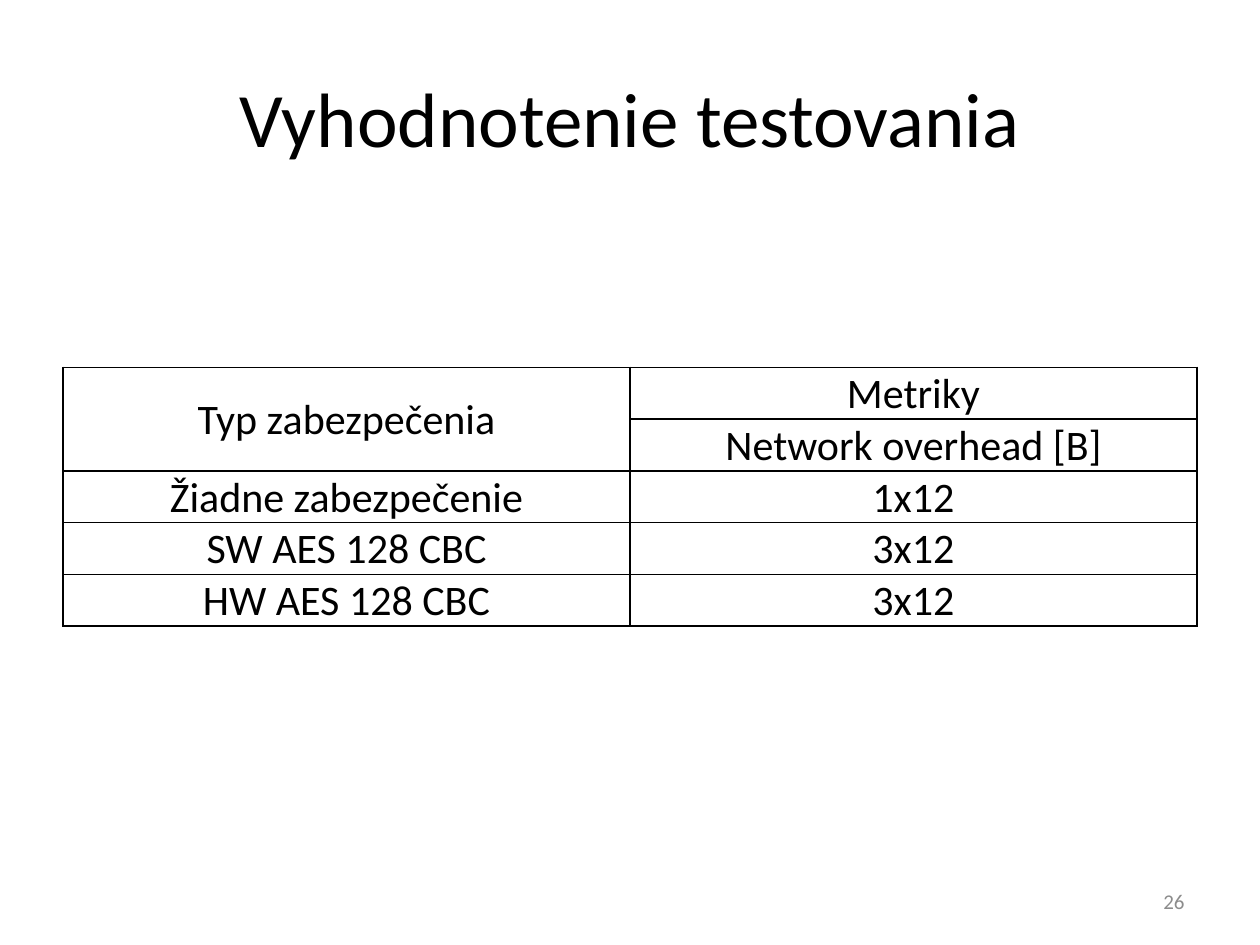
from pptx import Presentation
from pptx.dml.color import RGBColor
from pptx.enum.text import MSO_ANCHOR as Anchor, PP_ALIGN as Align
from pptx.oxml import parse_xml
from pptx.oxml.ns import nsdecls
from pptx.util import Pt

BLACK = RGBColor(0x00, 0x00, 0x00)
GRAY = RGBColor(0x8C, 0x8C, 0x8C)
FONT = "Calibri"

TITLE = "Vyhodnotenie testovania"
NUMBER = "26"
ROWS = [
    ("Typ zabezpečenia", "Metriky"),
    ("", "Network overhead [B]"),
    ("Žiadne zabezpečenie", "1x12"),
    ("SW AES 128 CBC", "3x12"),
    ("HW AES 128 CBC", "3x12"),
]
LEFT, TOP, WIDTH, ROW = 36, 210, 648, 29.5


def style(para, size, color, align):
    para.alignment = align
    font = para.font
    font.name, font.size = FONT, Pt(size)
    font.color.rgb = color


def add_label(slide, text, box, size, color, align):
    frame = slide.shapes.add_textbox(*map(Pt, box)).text_frame
    frame.word_wrap = True
    frame.vertical_anchor = Anchor.MIDDLE
    frame.text = text
    style(frame.paragraphs[0], size, color, align)


def add_border(cell):
    props = cell._tc.get_or_add_tcPr()
    for i, side in enumerate(("lnL", "lnR", "lnT", "lnB")):
        props.insert(i, parse_xml(
            f'<a:{side} {nsdecls("a")} w="{Pt(1)}"><a:solidFill>'
            f'<a:srgbClr val="{BLACK}"/></a:solidFill></a:{side}>'))


def add_grid(slide):
    count, cols = len(ROWS), len(ROWS[0])
    box = LEFT, TOP, WIDTH, ROW * count
    table = slide.shapes.add_table(count, cols, *map(Pt, box)).table
    table.first_row = table.horz_banding = False
    for r, row in enumerate(ROWS):
        table.rows[r].height = Pt(ROW)
        for c, text in enumerate(row):
            cell = table.cell(r, c)
            cell.text = text
            cell.fill.background()
            cell.margin_left = cell.margin_right = cell.margin_top = Pt(0.75)
            cell.margin_bottom = 0
            cell.vertical_anchor = Anchor.BOTTOM
            style(cell.text_frame.paragraphs[0], 24, BLACK, Align.CENTER)
            add_border(cell)
    head = table.cell(0, 0)
    head.merge(table.cell(1, 0))
    head.vertical_anchor = Anchor.MIDDLE


def main():
    deck = Presentation()
    deck.slide_width, deck.slide_height = Pt(720), Pt(540)
    slide = deck.slides.add_slide(deck.slide_layouts[6])
    add_label(slide, TITLE, (36, 21.6, 648, 90), 44, BLACK, Align.CENTER)
    add_label(slide, NUMBER, (516, 500.5, 168, 28.75), 12, GRAY, Align.RIGHT)
    add_grid(slide)
    deck.save("out.pptx")


if __name__ == "__main__":
    main()
